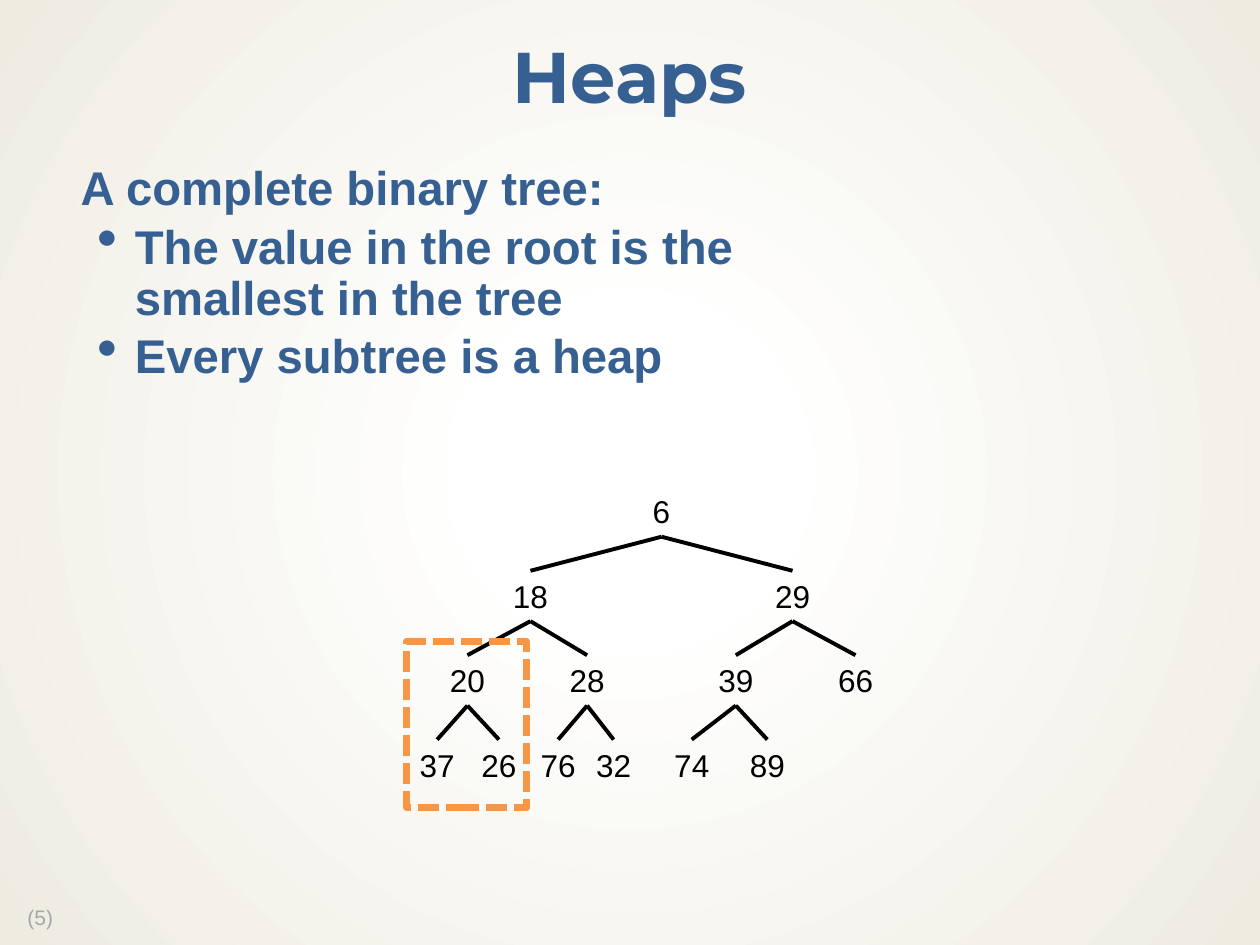
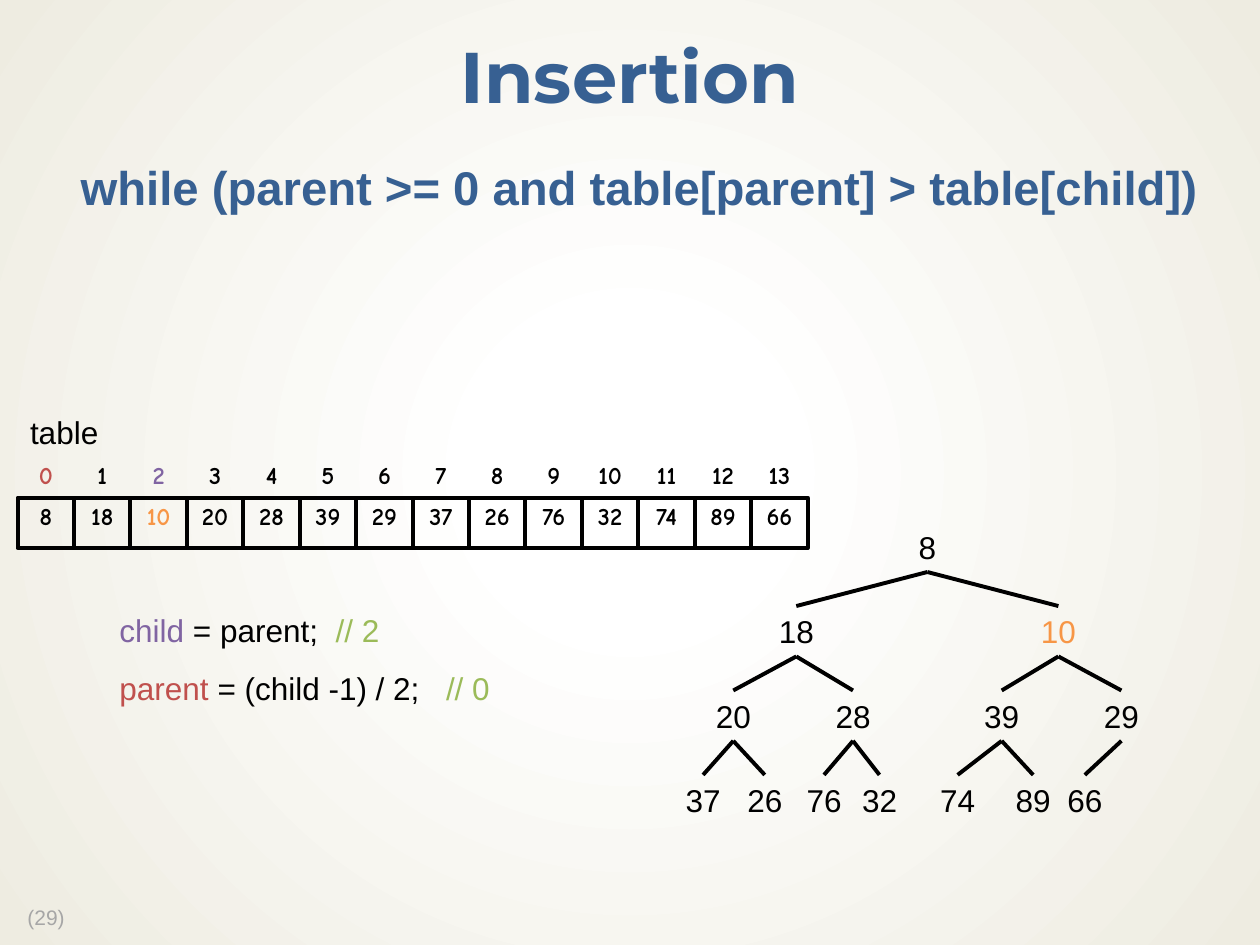
from pptx import Presentation
from pptx.dml.color import RGBColor
from pptx.enum.dml import MSO_LINE
from pptx.enum.shapes import MSO_CONNECTOR, MSO_SHAPE
from pptx.enum.text import MSO_ANCHOR, MSO_AUTO_SIZE, PP_ALIGN
from pptx.oxml import parse_xml
from pptx.oxml.ns import nsdecls, qn
from pptx.util import Inches, Pt

BLACK = RGBColor(0x00, 0x00, 0x00)
WHITE = RGBColor(0xFF, 0xFF, 0xFF)
CREAM = RGBColor(0xEE, 0xEC, 0xE1)
NAVY = RGBColor(0x37, 0x60, 0x92)
GREY = RGBColor(0xA6, 0xA6, 0xA6)
ORANGE = RGBColor(0xF7, 0x96, 0x46)
RED = RGBColor(0xC0, 0x50, 0x4D)
PURPLE = RGBColor(0x80, 0x64, 0xA2)
GREEN = RGBColor(0x9B, 0xBB, 0x59)

LEFT, CENTER = PP_ALIGN.LEFT, PP_ALIGN.CENTER
TOP, MIDDLE = MSO_ANCHOR.TOP, MSO_ANCHOR.MIDDLE
NO_AUTOFIT = MSO_AUTO_SIZE.NONE
RECTANGLE = MSO_SHAPE.RECTANGLE
STRAIGHT = MSO_CONNECTOR.STRAIGHT
SHORT_DASH = MSO_LINE.SQUARE_DOT
BOTTOM_SIDE, TOP_SIDE = 2, 0

BODY_FONT, TITLE_FONT, CELL_FONT = "Arial", "Montserrat", "Comic Neue"
TITLE_ONLY = 5

# Horizontal distance of each heap node from the root, in array order
NODE_OFFSETS = [0, -1.04, 1.04, -1.54, -0.59, 0.59, 1.54,
                -1.78, -1.29, -0.82, -0.38, 0.24, 0.84, 1.25]
NODE_W, NODE_H = 0.48, 0.4
LEVEL_STEP = 0.67

CELL_LEFT, CELL_H = 0.14, 0.4
CELL_STEP = 6.27 / 14


class Deck:
    def __init__(self):
        self.prs = Presentation()
        self.prs.slide_width = Inches(10)
        self.prs.slide_height = Inches(7.5)
        self.s = None
        self.set_background()

    def set_background(self):
        """Give the master a white-to-cream gradient that spreads from the centre."""
        master = self.prs.slide_master
        fill = master.background.fill
        fill.gradient()
        stops = zip(fill.gradient_stops, (0.18, 1), (WHITE, CREAM))
        for stop, position, color in stops:
            stop.position = position
            stop.color.rgb = color
        grad = master.element.find(".//" + qn("p:bgPr")).find(qn("a:gradFill"))
        grad.replace(grad.find(qn("a:lin")), parse_xml(
            f'<a:path {nsdecls("a")} path="circle">'
            '<a:fillToRect l="50000" t="50000" r="50000" b="50000"/></a:path>'))

    def new_slide(self, title, number):
        self.s = self.prs.slides.add_slide(self.prs.slide_layouts[TITLE_ONLY])
        sp = self.s.shapes.title
        sp.left, sp.top, sp.width, sp.height = (
            Inches(v) for v in (0, 0.17, 10, 0.94))
        tf = self.frame(sp, 0.13, 0.06, MIDDLE)
        self.add_runs(tf.paragraphs[0], [(title, NAVY)], 41, TITLE_FONT, True, CENTER, 0.9)
        self.text(0.12, 7.15, 0.8, 0.28, [(f"({number})", GREY)], 12, spacing=0.9)

    def frame(self, sp, margin_x=0.1, margin_y=0.05, anchor=TOP):
        tf = sp.text_frame
        tf.word_wrap = True
        tf.auto_size = NO_AUTOFIT
        tf.margin_left = tf.margin_right = Inches(margin_x)
        tf.margin_top = tf.margin_bottom = Inches(margin_y)
        tf.vertical_anchor = anchor
        return tf

    def add_runs(self, p, runs, size, font=BODY_FONT, bold=False, align=LEFT, spacing=1.0):
        """Fill a paragraph with (text, colour) runs; a newline breaks the line."""
        p.alignment = align
        p.line_spacing = spacing
        for text, color in runs:
            for i, line in enumerate(text.split("\n")):
                if i:
                    p.add_line_break()
                r = p.add_run()
                r.text = line
                r.font.size = Pt(size)
                r.font.name = font
                r.font.bold = bold
                r.font.color.rgb = color

    def text(self, x, y, w, h, runs, size=18, margin_x=0.1, **style):
        sp = self.s.shapes.add_textbox(Inches(x), Inches(y), Inches(w), Inches(h))
        self.add_runs(self.frame(sp, margin_x).paragraphs[0], runs, size, **style)
        return sp

    def body(self, heading, bullets=()):
        sp = self.s.shapes.add_textbox(
            Inches(0.38), Inches(1.25), Inches(9.25), Inches(5.65))
        tf = self.frame(sp, 0.12, 0.06)
        for i, line in enumerate([heading, *bullets]):
            p = tf.add_paragraph() if i else tf.paragraphs[0]
            self.add_runs(p, [(line, NAVY)], 27, bold=True, spacing=0.9)
            p.space_before = Pt(4 if i else 8)
            self.indent(p, 0.57 if i else 0.14, -0.3 if i else 0, bullet=i > 0)

    def indent(self, p, margin, first_line, bullet):
        p_pr = p._p.get_or_add_pPr()
        p_pr.set("marL", str(Inches(margin)))
        p_pr.set("indent", str(Inches(first_line)))
        if bullet:
            p_pr.append(parse_xml(f'<a:buSzPct {nsdecls("a")} val="125000"/>'))
            p_pr.append(parse_xml(f'<a:buChar {nsdecls("a")} char="•"/>'))

    def rect(self, x, y, w, h, color, width):
        sp = self.s.shapes.add_shape(
            RECTANGLE, Inches(x), Inches(y), Inches(w), Inches(h))
        sp.shadow.inherit = False
        sp.fill.background()
        sp.line.color.rgb = color
        sp.line.width = Pt(width)
        return sp

    def edge(self, parent, child):
        line = self.s.shapes.add_connector(STRAIGHT, 0, 0, 0, 0)
        line.begin_connect(parent, BOTTOM_SIDE)
        line.end_connect(child, TOP_SIDE)
        line.line.color.rgb = BLACK
        line.line.width = Pt(2.25)
        line._element.spPr.append(parse_xml(f'<a:effectLst {nsdecls("a")}/>'))

    def heap(self, root_x, root_y, values, colors):
        """Draw the array as a binary tree: the parent of node i is (i - 1) // 2."""
        nodes = []
        for i, (value, offset) in enumerate(zip(values, NODE_OFFSETS)):
            level = (i + 1).bit_length() - 1
            nodes.append(self.text(
                root_x + offset - NODE_W / 2, root_y + level * LEVEL_STEP,
                NODE_W, NODE_H, [(str(value), colors.get(i, BLACK))],
                margin_x=0, align=CENTER))
        for i in range(1, len(nodes)):
            self.edge(nodes[(i - 1) // 2], nodes[i])

    def array(self, values, value_colors, index_colors):
        """Draw a row of cells with the index above each."""
        style = {"size": 14, "font": CELL_FONT, "bold": True,
                 "align": CENTER, "spacing": 0.9}
        for i, value in enumerate(values):
            x = CELL_LEFT + i * CELL_STEP
            sp = self.rect(x, 3.95, CELL_STEP, CELL_H, BLACK, 2.25)
            self.add_runs(self.frame(sp, 0).paragraphs[0],
                          [(str(value), value_colors.get(i, BLACK))], **style)
            self.text(x, 3.63, CELL_STEP, CELL_H,
                      [(str(i), index_colors.get(i, BLACK))], margin_x=0, **style)


def heaps_slide(deck):
    deck.new_slide("Heaps", 5)
    deck.body("A complete binary tree:",
              ["The value in the root is the \nsmallest in the tree",
               "Every subtree is a heap"])
    deck.heap(5.25, 3.86, [6, 18, 29, 20, 28, 39, 66, 37, 26, 76, 32, 74, 89], {})
    subtree = deck.rect(3.23, 5.09, 0.95, 1.32, ORANGE, 4)
    subtree.line.dash_style = SHORT_DASH


def insertion_slide(deck):
    values = [8, 18, 10, 20, 28, 39, 29, 37, 26, 76, 32, 74, 89, 66]
    inserted = {2: ORANGE}
    deck.new_slide("Insertion", 29)
    deck.body("while (parent >= 0 and table[parent] > table[child])")
    deck.heap(7.36, 4.14, values, inserted)
    deck.array(values, inserted, {0: RED, 2: PURPLE})
    deck.text(0.85, 4.8, 3.5, 0.4,
              [("child", PURPLE), (" = parent;  ", BLACK), ("// 2", GREEN)])
    deck.text(0.85, 5.26, 3.5, 0.4,
              [("parent", RED), (" = (child -1) / 2;   ", BLACK), ("// 0", GREEN)])
    deck.text(0.14, 3.23, 1, 0.4, [("table", BLACK)])


def main():
    deck = Deck()
    heaps_slide(deck)
    insertion_slide(deck)
    deck.prs.save("out.pptx")


if __name__ == "__main__":
    main()
